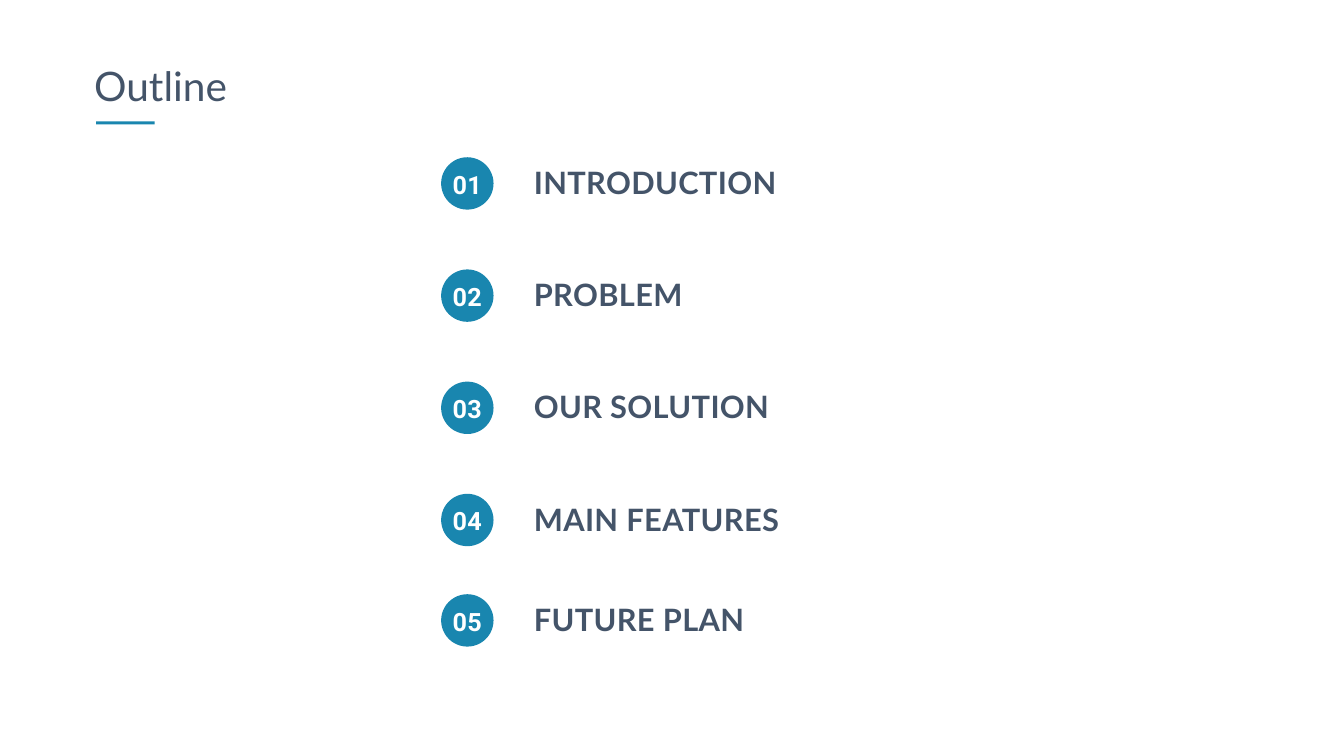
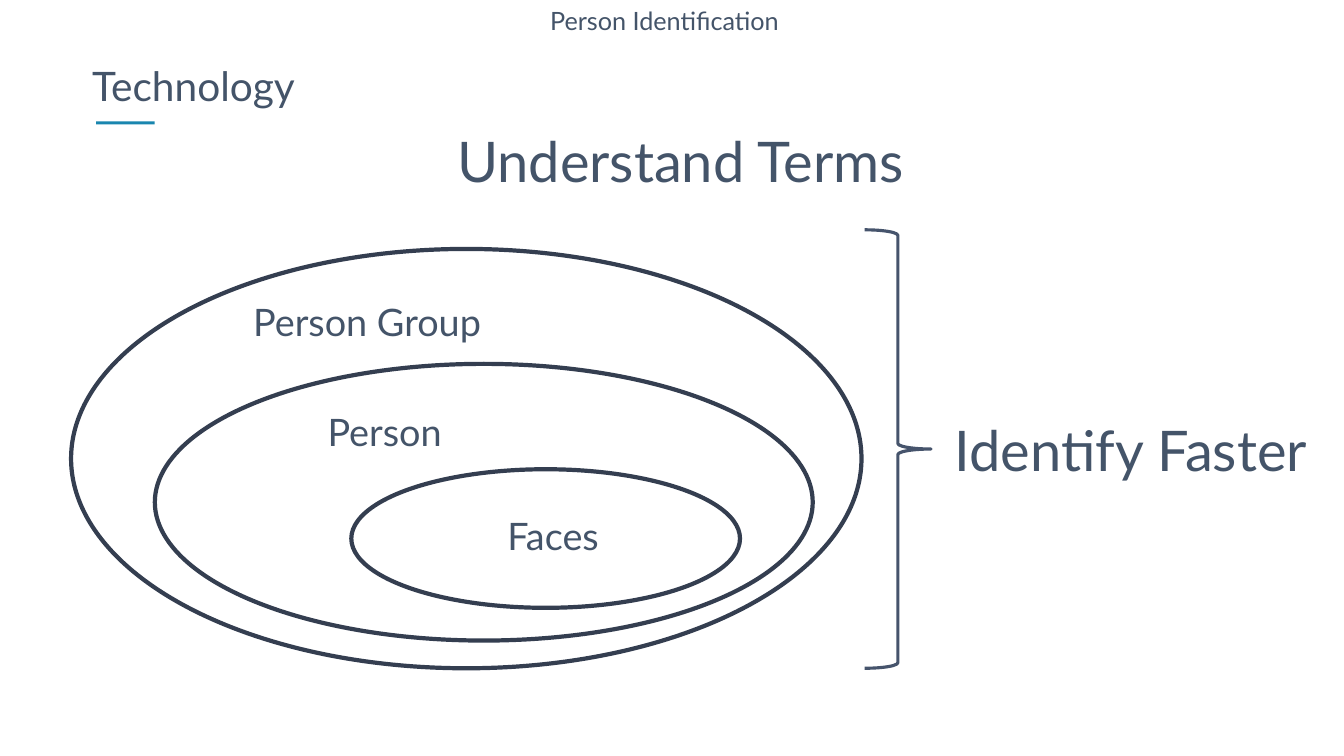
from dataclasses import dataclass

from pptx import Presentation
from pptx import util as u
from pptx.dml.color import RGBColor
from pptx.enum import shapes, text


@dataclass(frozen=True)
class Theme:
    ink: str = "445469"
    accent: str = "1986AF"
    paper: str = "FFFFFF"
    ring: str = "343E50"
    brace: str = "46546C"
    body_font: str = "Lato"
    number_font: str = "Roboto"
    small: float = 36
    item: float = 44
    term: float = 54
    title: float = 58
    headline: float = 80
    item_leading: float = 45.3
    item_gap: float = 16
    tracking: float = 0.5


theme = Theme()
deck = Presentation()
deck.slide_width = u.Inches(26.66)
deck.slide_height = u.Inches(15)
column = deck.slide_width / 100
row = deck.slide_height / 100


def add_text(page, area, words, size, font=theme.body_font, color=theme.ink,
             centred=False, bold=False, inset=True, wrap=False):
    left, top, width, height = area
    box = page.shapes.add_textbox(int(left * column), int(top * row),
                                  int(width * column), int(height * row))
    frame = box.text_frame
    frame.word_wrap = wrap
    frame.auto_size = text.MSO_AUTO_SIZE.SHAPE_TO_FIT_TEXT
    if not inset:
        frame.margin_left = frame.margin_right = 0
        frame.margin_top = frame.margin_bottom = 0
    para = frame.paragraphs[0]
    para.alignment = text.PP_ALIGN.CENTER if centred else text.PP_ALIGN.LEFT
    span = para.add_run()
    span.text = words
    span.font.name = font
    span.font.size = u.Pt(size)
    span.font.bold = bold
    span.font.color.rgb = RGBColor.from_string(color)
    if bold:
        span._r.get_or_add_rPr().set("spc", str(int(theme.tracking * 100)))
    return frame


def add_figure(page, kind, area, fill=None, line=None, weight=0):
    left, top, width, height = area
    figure = page.shapes.add_shape(kind, int(left * column), int(top * row),
                                   int(width * column), int(height * row))
    figure.shadow.inherit = False
    if fill:
        figure.fill.solid()
        figure.fill.fore_color.rgb = RGBColor.from_string(fill)
    else:
        figure.fill.background()
    if line:
        figure.line.color.rgb = RGBColor.from_string(line)
        figure.line.width = u.Pt(weight)
    else:
        figure.line.fill.background()


kinds = shapes.MSO_SHAPE
pages = []
for title, left, width in [("Outline", 7.01, 10.02), ("Technology", 6.86, 15.6)]:
    page = deck.slides.add_slide(deck.slide_layouts[6])
    page.background.fill.solid()
    page.background.fill.fore_color.rgb = RGBColor.from_string(theme.paper)
    frame = add_text(page, (left, 8.07, width, 6.53), title, theme.title, inset=False)
    frame.vertical_anchor = text.MSO_ANCHOR.MIDDLE
    add_figure(page, kinds.RECTANGLE, (7.16, 16.07, 4.35, 0.4), fill=theme.accent)
    pages.append(page)
outline, technology = pages

items = [("INTRODUCTION", 18.27), ("PROBLEM", 11.22), ("OUR SOLUTION", 17.74),
         ("MAIN FEATURES", 18.6), ("FUTURE PLAN", 15.83)]
item_tops = [20.8 + 14.84 * step for step in range(4)] + [78.6]
for number, ((label, width), top) in enumerate(zip(items, item_tops), start=1):
    text_top = top + 1.55
    frame = add_text(outline, (39.72, text_top, width, 4.2), label, theme.item,
                     bold=True, inset=False)
    frame.paragraphs[0].line_spacing = u.Pt(theme.item_leading)
    frame.paragraphs[0].space_after = u.Pt(theme.item_gap)
    add_figure(outline, kinds.OVAL, (32.82, top, 3.9, 6.93), fill=theme.accent)
    add_text(outline, (33.68, text_top, 2.18, 4.07), f"{number:02d}", theme.small,
             font=theme.number_font, color=theme.paper, centred=True, bold=True,
             inset=False)

add_text(technology, (36.8, 0.4, 25.28, 4.73), "Person Identification", theme.small,
         centred=True, wrap=True)
add_text(technology, (33.12, 16.47, 35.03, 9.67), "Understand Terms", theme.headline,
         centred=True)
add_figure(technology, kinds.RIGHT_BRACE, (64.33, 30.4, 4.95, 58),
           line=theme.brace, weight=4.5)
add_text(technology, (70.33, 54.6, 27.64, 9.67), "Identify Faster", theme.headline,
         centred=True)

terms = [("Person Group", (5.29, 32.93, 58.81, 55.47), 17.82, 39.2),
         ("Person", (11.52, 48.13, 48.95, 36.6), 19.13, 53.8),
         ("Faces", (26.14, 62.07, 28.92, 18.33), 31.66, 67.47)]
for term, ring, left, top in terms:
    add_figure(technology, kinds.OVAL, ring, line=theme.ring, weight=6)
    add_text(technology, (left, top, 18.98, 6.73), term, theme.term,
             centred=True, wrap=True)

deck.save("out.pptx")
